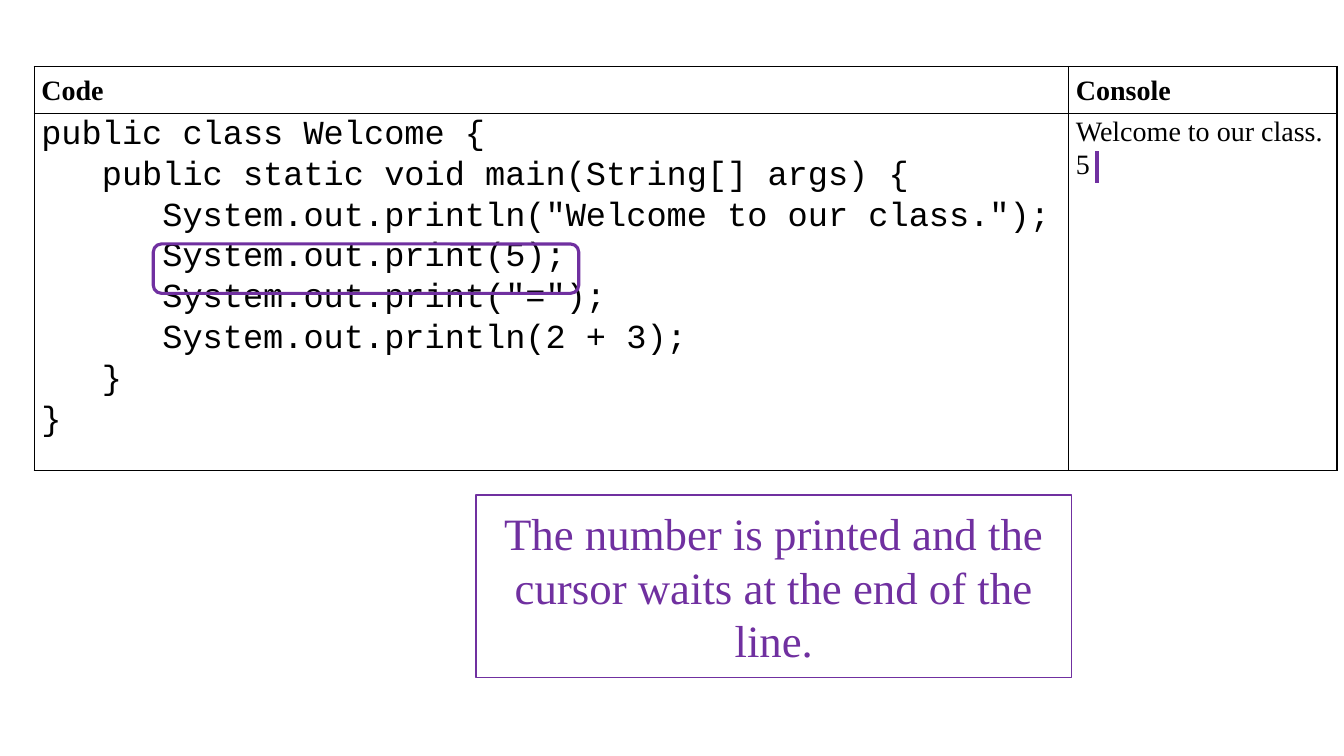
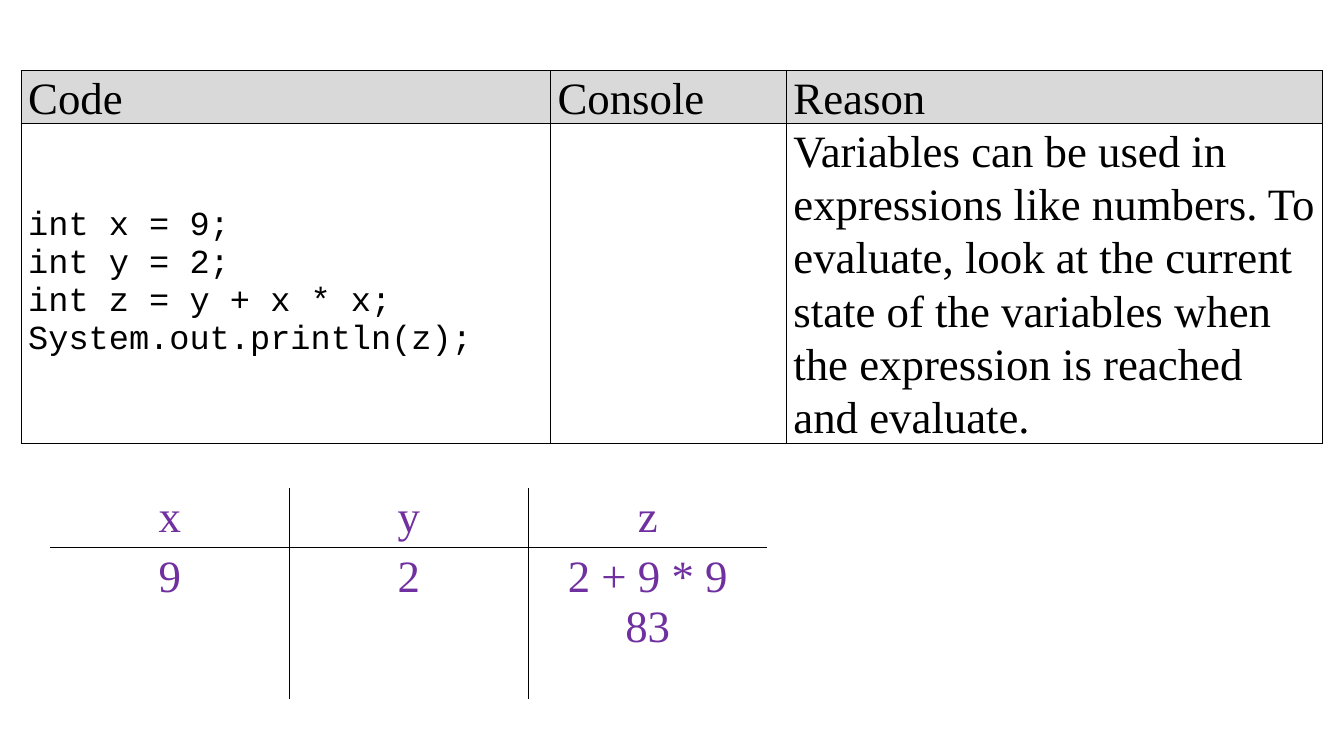
from collections import namedtuple

from lxml import etree
from pptx import Presentation
from pptx import util as u
from pptx.dml import color
from pptx.enum import shapes, text
from pptx.oxml import ns

EMU_PER_PX = 9144
BLACK, PURPLE, GRAY = "000000", "7030A0", "D9D9D9"
SERIF, MONO = "Times New Roman", "Courier New"
SIDES = "LRTB"
MIDDLE, TOP = text.MSO_ANCHOR.MIDDLE, text.MSO_ANCHOR.TOP
LEFT, CENTER = text.PP_ALIGN.LEFT, text.PP_ALIGN.CENTER
INSETS, TRACE_INSETS = (7, 0), (10, 5)

Style = namedtuple("Style", "font size color bold spacing align anchor fill",
                   defaults=(BLACK, False, 1.07, LEFT, MIDDLE, None))

HEADING = Style(SERIF, 20, bold=True)
PROGRAM = Style(MONO, 24, anchor=TOP)
OUTPUT = Style(SERIF, 20, anchor=TOP)
SHADED_HEADING = Style(SERIF, 32, fill=GRAY)
SNIPPET = Style(MONO, 24, spacing=1)
REASON = Style(SERIF, 32)
NOTE = Style(SERIF, 32, PURPLE, spacing=1, align=CENTER)
TRACE = NOTE._replace(anchor=TOP)

PROGRAM_CODE = """public class Welcome {
   public static void main(String[] args) {
      System.out.println("Welcome to our class.");
      System.out.print(5);
      System.out.print("=");
      System.out.println(2 + 3);
   }
}"""
SNIPPET_CODE = """int x = 9;
int y = 2;
int z = y + x * x;
System.out.println(z);"""
REASON_TEXT = ("Variables can be used in expressions like numbers. To evaluate, "
               "look at the current state of the variables when the expression "
               "is reached and evaluate.")


def px(length):
    return u.Emu(length * EMU_PER_PX)


def rgb(value):
    return color.RGBColor.from_string(value)


def write(frame, content, style):
    frame.word_wrap = True
    for index, line in enumerate(content.splitlines()):
        paragraph = frame.paragraphs[0] if index == 0 else frame.add_paragraph()
        paragraph.alignment = style.align
        paragraph.line_spacing = style.spacing
        run = paragraph.add_run()
        run.text = line
        run.font.name = style.font
        run.font.size = u.Pt(style.size)
        run.font.bold = style.bold
        run.font.color.rgb = rgb(style.color)


def set_borders(cell, visible):
    properties = cell._tc.get_or_add_tcPr()
    for side in SIDES:
        line = etree.SubElement(properties, ns.qn(f"a:ln{side}"), w=str(u.Pt(1)))
        if side in visible:
            fill = etree.SubElement(line, ns.qn("a:solidFill"))
            etree.SubElement(fill, ns.qn("a:srgbClr"), val=BLACK)
        else:
            etree.SubElement(line, ns.qn("a:noFill"))


def inner_sides(row, column, row_count, column_count):
    present = (column > 0, column < column_count - 1, row == 1, row == 0)
    return "".join(side for side, shown in zip(SIDES, present) if shown)


def add_table(slide, left, top, widths, heights, rows, insets=INSETS, boxed=True):
    frame = slide.shapes.add_table(len(heights), len(widths), px(left), px(top),
                                   px(sum(widths)), px(sum(heights)))
    table = frame.table
    table.first_row = table.horz_banding = False
    for column, width in zip(table.columns, widths):
        column.width = px(width)
    for row, height in zip(table.rows, heights):
        row.height = px(height)
    for r, row in enumerate(rows):
        for c, (content, style) in enumerate(row):
            cell = table.cell(r, c)
            cell.margin_left = cell.margin_right = px(insets[0])
            cell.margin_top = cell.margin_bottom = px(insets[1])
            cell.vertical_anchor = style.anchor
            set_borders(cell, SIDES if boxed else
                        inner_sides(r, c, len(heights), len(widths)))
            if style.fill:
                cell.fill.solid()
                cell.fill.fore_color.rgb = rgb(style.fill)
            else:
                cell.fill.background()
            write(cell.text_frame, content, style)


def add_outline(slide, kind, left, top, width, height, weight):
    shape = slide.shapes.add_shape(kind, px(left), px(top), px(width), px(height))
    shape.shadow.inherit = False
    shape.fill.background()
    shape.line.color.rgb = rgb(PURPLE)
    shape.line.width = u.Pt(weight)
    return shape


def add_cursor(slide, left, top, height):
    cursor = slide.shapes.add_connector(shapes.MSO_CONNECTOR.STRAIGHT, px(left), px(top),
                                        px(left), px(top + height))
    cursor.line.color.rgb = rgb(PURPLE)
    cursor.line.width = u.Pt(3)
    etree.SubElement(cursor._element.spPr, ns.qn("a:effectLst"))


def build_print_slide(slide):
    add_table(slide, 34, 66, [1026, 266], [47, 354], [
        [("Code", HEADING), ("Console", HEADING)],
        [(PROGRAM_CODE, PROGRAM), ("Welcome to our class.\n5", OUTPUT)],
    ])
    add_outline(slide, shapes.MSO_SHAPE.ROUNDED_RECTANGLE, 152, 242, 422, 49, 2.25)
    add_cursor(slide, 1088, 150, 32)
    note = add_outline(slide, shapes.MSO_SHAPE.RECTANGLE, 472, 491, 591, 181, 1)
    note.text_frame.vertical_anchor = NOTE.anchor
    write(note.text_frame,
          "The number is printed and the cursor waits at the end of the line.", NOTE)


def build_variables_slide(slide):
    add_table(slide, 21, 70, [525, 234, 532], [52, 317], [
        [(heading, SHADED_HEADING) for heading in ("Code", "Console", "Reason")],
        [(SNIPPET_CODE, SNIPPET), ("", REASON), (REASON_TEXT, REASON)],
    ])
    trace = [("x", "y", "z"), ("9", "2", "2 + 9 * 9\n83"), ("", "", "")]
    add_table(slide, 50, 484, [237] * 3, [59, 108, 41],
              [[(value, TRACE) for value in row] for row in trace],
              insets=TRACE_INSETS, boxed=False)


def main():
    presentation = Presentation()
    presentation.slide_width, presentation.slide_height = u.Inches(13.33), u.Inches(7.5)
    blank = presentation.slide_layouts[6]
    for build in (build_print_slide, build_variables_slide):
        build(presentation.slides.add_slide(blank))
    presentation.save("out.pptx")


if __name__ == "__main__":
    main()
